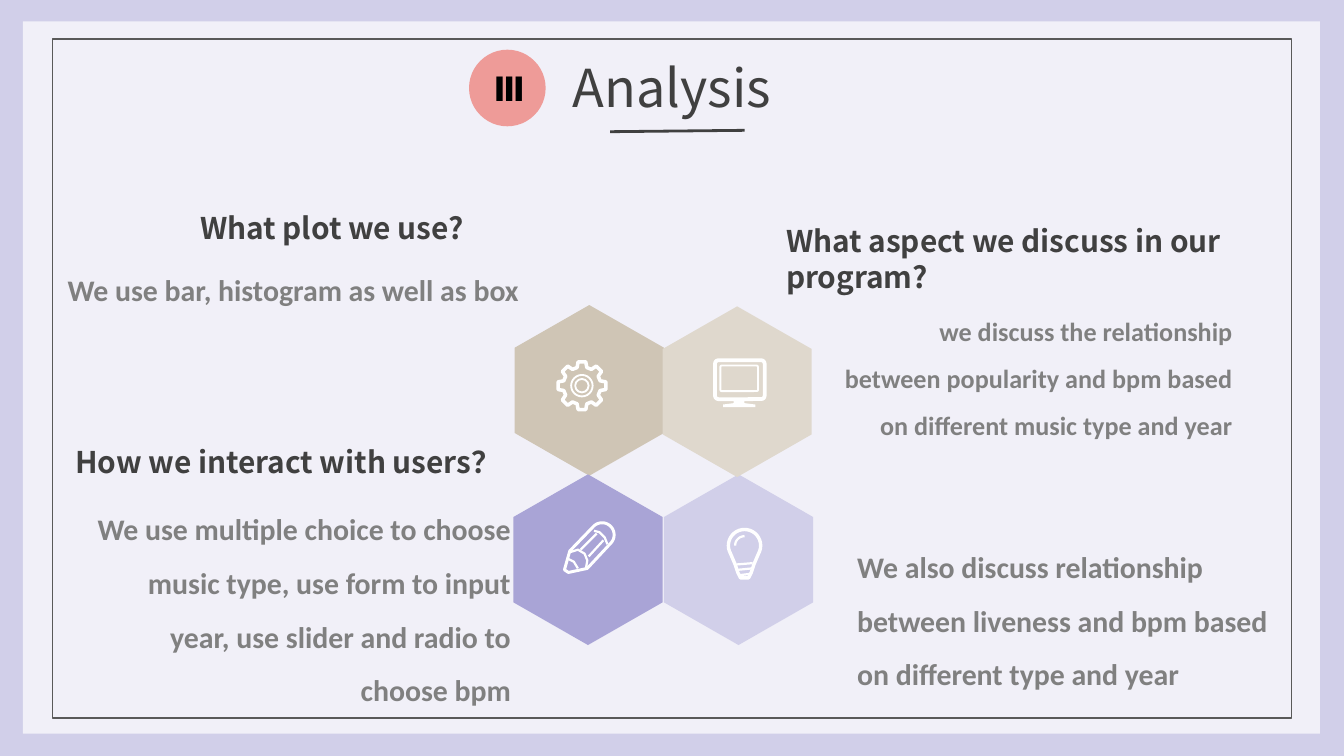
import math

from lxml import etree
from pptx import Presentation
from pptx.dml.color import RGBColor
from pptx.enum.shapes import MSO_CONNECTOR, MSO_SHAPE
from pptx.enum.text import MSO_ANCHOR, MSO_AUTO_SIZE, PP_ALIGN
from pptx.oxml.ns import qn
from pptx.util import Inches, Pt

RECT, OVAL, ROUNDED = MSO_SHAPE.RECTANGLE, MSO_SHAPE.OVAL, MSO_SHAPE.ROUNDED_RECTANGLE
LEFT, CENTER, RIGHT = PP_ALIGN.LEFT, PP_ALIGN.CENTER, PP_ALIGN.RIGHT
HEADING_FONT, BODY_FONT = "Noto Sans CJK SC", "Calibri"
LAVENDER, WHITE, DARK, GRAY = "D1CFE9", "FFFFFF", "404040", "808080"


def rgb(color):
    return RGBColor.from_string(color)


def paint(sp, fill=None, line=None, width=1):
    sp.shadow.inherit = False
    if fill:
        sp.fill.solid()
        sp.fill.fore_color.rgb = rgb(fill)
    else:
        sp.fill.background()
    if line:
        sp.line.color.rgb = rgb(line)
        sp.line.width = Pt(width)
    else:
        sp.line.fill.background()


def add_preset(slide, kind, x, y, w, h, **style):
    sp = slide.shapes.add_shape(kind, Inches(x), Inches(y), Inches(w), Inches(h))
    paint(sp, **style)
    return sp


def add_path(slide, points, closed=True, **style):
    (x, y), *rest = [(Inches(px), Inches(py)) for px, py in points]
    builder = slide.shapes.build_freeform(x, y)
    builder.add_line_segments(rest, close=closed)
    paint(builder.convert_to_shape(), **style)


def add_strokes(slide, strokes, width):
    for points in strokes:
        add_path(slide, points, closed=False, line=WHITE, width=width)


def polar(cx, cy, radius, degrees):
    a = math.radians(degrees)
    return cx + radius * math.cos(a), cy + radius * math.sin(a)


def arc(cx, cy, radius, start, end, step=10):
    return [polar(cx, cy, radius, a) for a in range(start, end + 1, step)]


def write(tf, text, size, font, color, align, bold=True, spacing=None):
    p = tf.paragraphs[0]
    p.text = text
    p.alignment = align
    if spacing:
        p.line_spacing = spacing
    p.font.size = Pt(size)
    p.font.name = font
    p.font.bold = bold
    p.font.color.rgb = rgb(color)


def add_text(slide, x, y, w, h, text, size, font, color, align, wrap=True, **kw):
    tf = slide.shapes.add_textbox(Inches(x), Inches(y), Inches(w), Inches(h)).text_frame
    tf.word_wrap = wrap
    tf.auto_size = MSO_AUTO_SIZE.SHAPE_TO_FIT_TEXT
    write(tf, text, size, font, color, align, **kw)


def add_heading(slide, x, y, w, h, text, align, wrap=True):
    add_text(slide, x, y, w, h, text, 16, HEADING_FONT, DARK, align, wrap)


def add_body(slide, x, y, w, h, text, align, size=16):
    add_text(slide, x, y, w, h, text, size, BODY_FONT, GRAY, align, spacing=1.5)


def add_frame(slide):
    slide.background.fill.solid()
    slide.background.fill.fore_color.rgb = rgb(LAVENDER)
    panel = add_preset(slide, RECT, 0.17, 0.16, 9.65, 5.3, fill=WHITE)
    color = panel.fill._xPr.find(qn("a:solidFill"))[0]
    etree.SubElement(color, qn("a:alpha"), val="70000")
    add_preset(slide, RECT, 0.39, 0.29, 9.22, 5.05, line="595959")


def add_title(slide):
    add_text(slide, 4.15, 0.36, 1.7, 0.57, "Analysis", 28, HEADING_FONT, DARK,
             CENTER, wrap=False, bold=False)
    rule = slide.shapes.add_connector(
        MSO_CONNECTOR.STRAIGHT, Inches(4.54), Inches(0.98), Inches(5.54), Inches(0.97))
    rule.line.color.rgb = rgb(DARK)
    rule.line.width = Pt(1.5)
    etree.SubElement(rule._element.spPr, qn("a:effectLst"))
    badge = add_preset(slide, OVAL, 3.49, 0.37, 0.57, 0.57, fill="EE9B98")
    badge.text_frame.vertical_anchor = MSO_ANCHOR.MIDDLE
    write(badge.text_frame, "Ⅲ", 18, BODY_FONT, "000000", CENTER)


def add_hexagon(slide, x, y, color, w=1.11, h=1.27):
    mid, right = x + w / 2, x + w
    upper, lower = y + h / 4, y + 3 * h / 4
    add_path(slide, [(mid, y), (right, upper), (right, lower),
                     (mid, y + h), (x, lower), (x, upper)], fill=color)


def add_gear(slide, cx, cy):
    tooth = [(0.14, -15), (0.18, -9), (0.18, 9), (0.14, 15)]
    add_path(slide, [polar(cx, cy, radius, 45 * i + a) for i in range(8) for radius, a in tooth],
             line=WHITE, width=1.9)
    for radius in (0.08, 0.05):
        add_preset(slide, OVAL, cx - radius, cy - radius, 2 * radius, 2 * radius, line=WHITE)


def add_monitor(slide):
    case = add_preset(slide, ROUNDED, 5.32, 2.68, 0.37, 0.29, line=WHITE, width=2)
    case.adjustments[0] = 0.09
    screen = add_preset(slide, ROUNDED, 5.36, 2.72, 0.28, 0.19, line=WHITE)
    screen.adjustments[0] = 0.05
    add_path(slide, [(5.46, 2.98), (5.54, 2.98), (5.54, 3), (5.62, 3.01),
                     (5.62, 3.03), (5.38, 3.03), (5.38, 3.01), (5.46, 3)], fill=WHITE)


def add_pencil(slide):
    cap = arc(4.48, 3.98, 0.09, -130, 40)
    add_path(slide, [(4.2, 4.24), (4.24, 4.1), *cap, (4.37, 4.23), (4.23, 4.26)],
             line=WHITE, width=1.6)
    add_strokes(slide, [
        [(4.42, 3.95), (4.46, 3.96), (4.5, 4), (4.52, 4.05)],
        [(4.24, 4.11), (4.3, 4.09), (4.35, 4.12), (4.37, 4.17), (4.36, 4.23)],
        [(4.23, 4.16), (4.27, 4.18), (4.3, 4.23)],
        [(4.32, 4.09), (4.44, 3.97)],
        [(4.38, 4.14), (4.49, 4.02)],
    ], 1.2)


def add_bulb(slide, cx, cy):
    base = [(0.07, 0.14), (0.05, 0.2), (0.03, 0.24)]
    right = [(cx + dx, cy + dy) for dx, dy in base]
    left = [(cx - dx, cy + dy) for dx, dy in reversed(base)]
    add_path(slide, arc(cx, cy, 0.12, 150, 390) + right + left, line=WHITE, width=1.8)
    threads = [[(cx - half, cy + dy), (cx + half, cy + dy - 0.01)]
               for half, dy in ((0.06, 0.14), (0.05, 0.18), (0.04, 0.22))]
    add_strokes(slide, threads + [arc(cx, cy, 0.07, 180, 270)], 1.2)


def main():
    prs = Presentation()
    prs.slide_width = Inches(10)
    prs.slide_height = prs.slide_width * 9 // 16
    slide = prs.slides.add_slide(prs.slide_layouts[6])
    add_frame(slide)
    add_title(slide)

    for x, y, color in ((3.83, 2.27, "CFC5B5"), (4.94, 3.53, LAVENDER),
                        (3.82, 3.53, "A9A4D6"), (4.93, 2.28, "DFD8CD")):
        add_hexagon(slide, x, y, color)

    add_heading(slide, 1.29, 1.51, 2.26, 0.37, "What plot we use?", RIGHT, wrap=False)
    add_body(slide, 0.24, 1.84, 3.72, 0.5, "We use bar, histogram as well as box", RIGHT)
    add_heading(slide, 0.37, 3.25, 3.46, 0.37, "How we interact with users？", RIGHT)
    add_body(slide, 0.52, 3.62, 3.38, 1.31,
             "We use multiple choice to choose music type, use form to input year, "
             "use slider and radio to choose bpm", RIGHT)
    add_heading(slide, 5.75, 1.61, 3.95, 0.64, "What aspect we discuss in our program?", LEFT)
    add_body(slide, 6.28, 3.9, 3.32, 1.31,
             "We also discuss relationship between liveness and bpm based on "
             "different type and year", LEFT)
    add_body(slide, 6.16, 2.18, 3.11, 1.16,
             "we discuss the relationship between popularity and bpm based on "
             "different music type and year", RIGHT, size=14)

    add_monitor(slide)
    add_pencil(slide)
    add_bulb(slide, 5.54, 4.06)
    add_gear(slide, 4.33, 2.87)
    prs.save("out.pptx")


if __name__ == "__main__":
    main()
